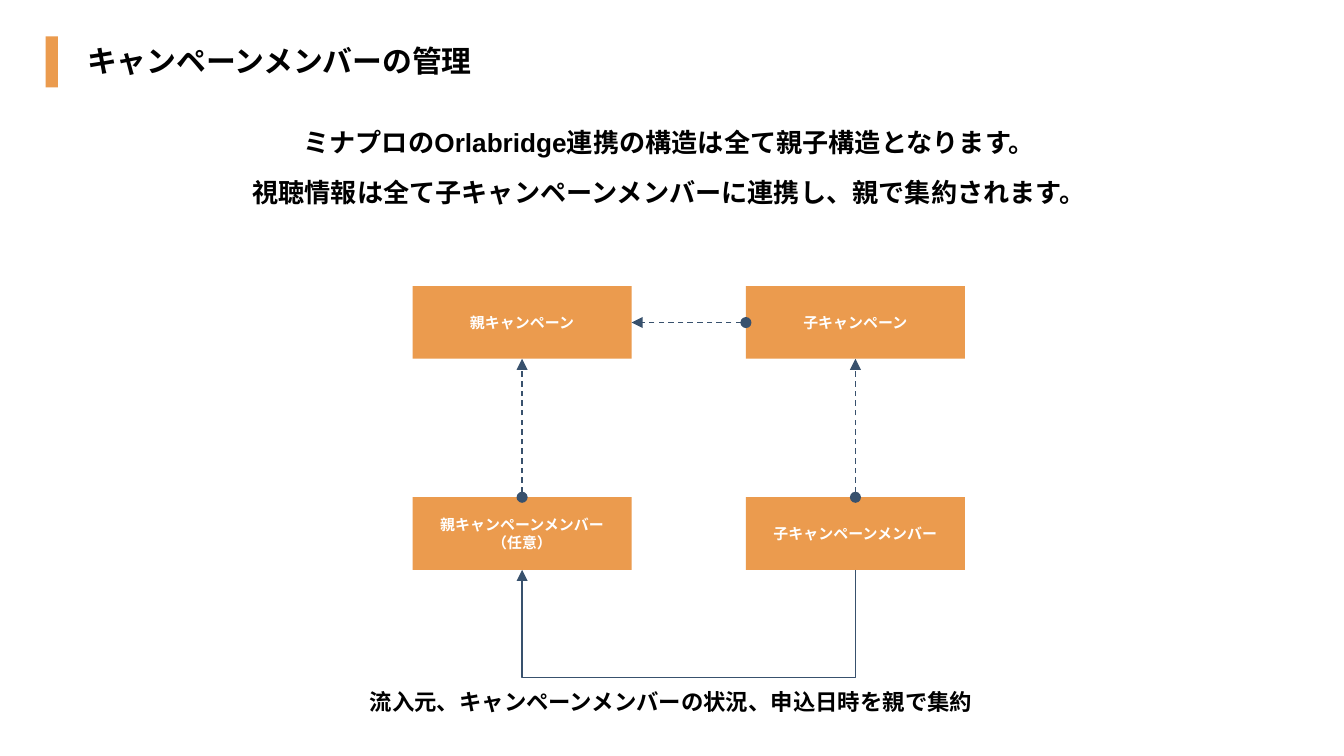
from lxml.etree import SubElement
from pptx import Presentation
from pptx.dml.color import RGBColor
from pptx.enum.dml import MSO_LINE
from pptx.enum.shapes import MSO_CONNECTOR as Connector, MSO_SHAPE as Shape
from pptx.enum.text import MSO_ANCHOR as Anchor, PP_ALIGN as Align
from pptx.oxml.ns import qn
from pptx.util import Emu, Inches, Pt

COLORS = {"accent": "EB9B4E", "line": "38516D", "text": "000000", "light": "FFFFFF"}
FONT = "Arial"
LEFT, TOP = 3.07, 2.13
COLUMN_STEP, ROW_STEP = 2.48, 1.57
BOX_WIDTH, BOX_HEIGHT = 1.63, 0.54
LOOP_DEPTH = 0.67

BOXES = [
    (0, 0, ["親キャンペーン"]),
    (1, 0, ["子キャンペーン"]),
    (0, 1, ["親キャンペーンメンバー", "（任意）"]),
    (1, 1, ["子キャンペーンメンバー"]),
]


def color(name):
    return RGBColor.from_string(COLORS[name])


def grid_point(column, row, across, down):
    """Return a point in a grid box, given as shares of the box's size."""
    return (LEFT + column * COLUMN_STEP + across * BOX_WIDTH,
            TOP + row * ROW_STEP + down * BOX_HEIGHT)


def write_lines(shape, lines, size, color_name, insets, align=None,
                line_spacing=None, gap=0):
    frame = shape.text_frame
    frame.word_wrap = True
    frame.margin_left = frame.margin_right = Inches(insets[0])
    frame.margin_top = frame.margin_bottom = Inches(insets[1])
    for index, line in enumerate(lines):
        paragraph = frame.add_paragraph() if index else frame.paragraphs[0]
        paragraph.alignment = align
        paragraph.line_spacing = line_spacing
        if index and gap:
            paragraph.space_before = Pt(gap)
        run = paragraph.add_run()
        run.text = line
        run.font.name = FONT
        run.font.size = Pt(size)
        run.font.bold = True
        run.font.color.rgb = color(color_name)


def add_block(slide, left, top, width, height):
    block = slide.shapes.add_shape(Shape.RECTANGLE, *map(Inches, (left, top, width, height)))
    block.shadow.inherit = False
    block.fill.solid()
    block.fill.fore_color.rgb = color("accent")
    block.line.fill.background()
    return block


def add_box(slide, column, row, lines):
    box = add_block(slide, *grid_point(column, row, 0, 0), BOX_WIDTH, BOX_HEIGHT)
    box.text_frame.vertical_anchor = Anchor.MIDDLE
    write_lines(box, lines, 8, "light", (0.07, 0.04), Align.CENTER)


def add_text(slide, area, lines, size, inset, **style):
    text_box = slide.shapes.add_textbox(*map(Inches, area))
    write_lines(text_box, lines, size, "text", (inset, inset), **style)


def add_arrow(slide, kind, start, end, head=None, dash=None):
    arrow = slide.shapes.add_connector(kind, *map(Inches, (*start, *end)))
    arrow.line.color.rgb = color("line")
    arrow.line.width = Pt(0.75)
    if dash:
        arrow.line.dash_style = dash
    line = arrow.line._get_or_add_ln()
    if head:
        SubElement(line, qn("a:headEnd"), type=head)
    SubElement(line, qn("a:tailEnd"), type="triangle")
    SubElement(arrow._element.spPr, qn("a:effectLst"))
    return arrow


def add_loop(slide, start, end):
    """Add an elbow arrow that drops below two points on one level."""
    loop = add_arrow(slide, Connector.ELBOW, start, end)
    span, thickness = Inches(start[0] - end[0]), Emu(600)
    # A quarter turn makes the connector's own width its vertical direction.
    loop.left = Inches((start[0] + end[0]) / 2) - thickness // 2
    loop.top = Inches(start[1]) - span // 2
    loop.width, loop.height = thickness, span
    properties = loop._element.spPr
    transform = properties.find(qn("a:xfrm"))
    transform.attrib.pop("flipH", None)
    transform.set("rot", str(90 * 60000))
    bend = round(Inches(LOOP_DEPTH) / thickness * 100000)
    adjustments = properties.find(qn("a:prstGeom")).get_or_add_avLst()
    SubElement(adjustments, qn("a:gd"), name="adj1", fmla=f"val {bend}")


def main():
    presentation = Presentation()
    presentation.slide_width = Inches(10)
    presentation.slide_height = presentation.slide_width * 9 // 16
    slide = presentation.slides.add_slide(presentation.slide_layouts[6])

    for column, row, lines in BOXES:
        add_box(slide, column, row, lines)

    dashed = {"head": "oval", "dash": MSO_LINE.DASH}
    add_arrow(slide, Connector.STRAIGHT, grid_point(1, 0, 0, 0.5),
              grid_point(0, 0, 1, 0.5), **dashed)
    for column in range(2):
        add_arrow(slide, Connector.STRAIGHT, grid_point(column, 1, 0.5, 0),
                  grid_point(column, 0, 0.5, 1), **dashed)

    centred = {"align": Align.CENTER, "line_spacing": 1.1, "gap": 8}
    add_text(slide, (0.69, 0.85, 8.58, 0.54), [
        "ミナプロのOrlabridge連携の構造は全て親子構造となります。",
        "視聴情報は全て子キャンペーンメンバーに連携し、親で集約されます。",
    ], 14, 0.07, **centred)
    add_loop(slide, grid_point(1, 1, 0.5, 1), grid_point(0, 1, 0.5, 1))
    add_text(slide, (2.33, 5.03, 5.33, 0.38),
             ["流入元、キャンペーンメンバーの状況、申込日時を親で集約"], 12, 0.07, **centred)
    add_text(slide, (0.55, 0.22, 8.36, 0.47), ["キャンペーンメンバーの管理"], 16, 0.1)
    add_block(slide, 0.34, 0.27, 0.09, 0.38)

    presentation.save("out.pptx")


if __name__ == "__main__":
    main()
